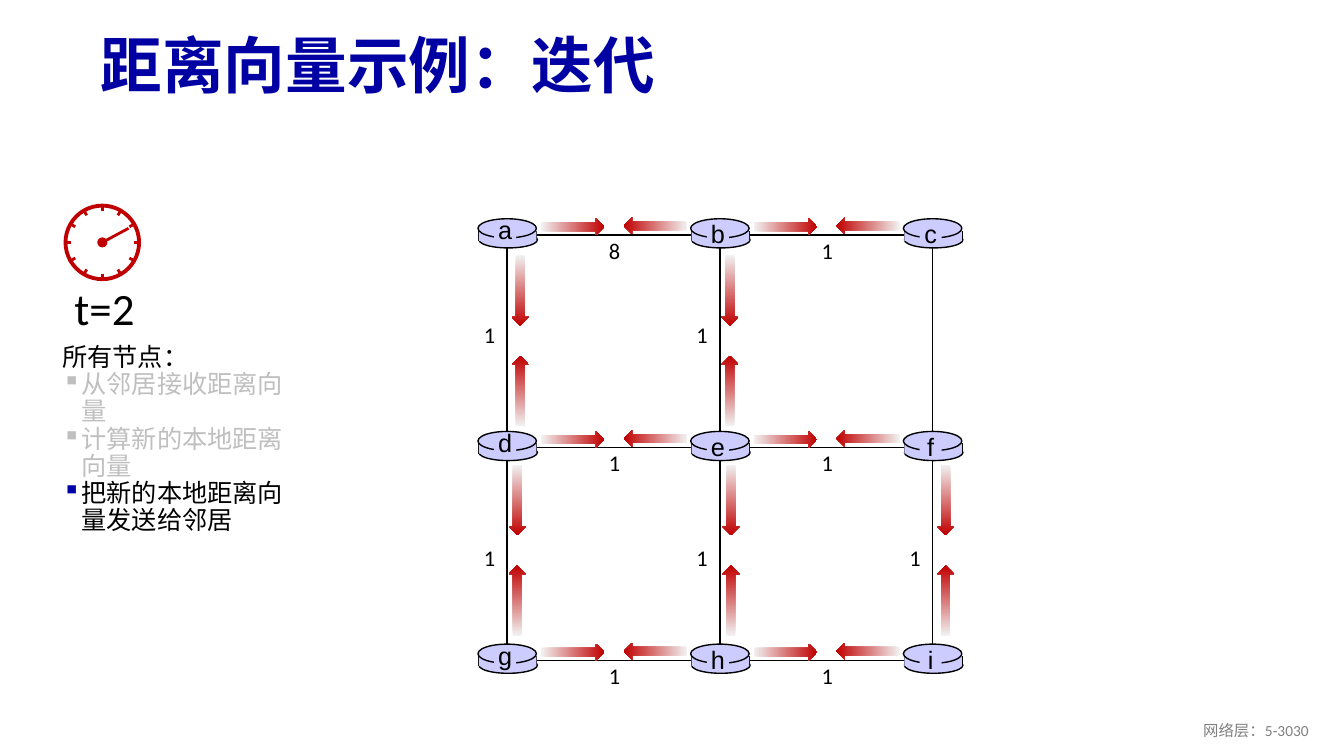
import math
from lxml import etree
from pptx import Presentation, util as u
from pptx.dml import color
from pptx.enum import shapes as kinds, text
from pptx.oxml import ns

BLACK, RED, LILAC, GREY = "000000", "C00000", "CCCCFF", "BFBFBF"
RECT, OVAL = kinds.MSO_SHAPE.RECTANGLE, kinds.MSO_SHAPE.OVAL
LEFT, CENTER, RIGHT = text.PP_ALIGN.LEFT, text.PP_ALIGN.CENTER, text.PP_ALIGN.RIGHT
TOP, MIDDLE = text.MSO_ANCHOR.TOP, text.MSO_ANCHOR.MIDDLE


def rgb(value):
    return color.RGBColor.from_string(value)


def inches(*lengths):
    return [u.Inches(length) for length in lengths]


def add_part(shapes, kind, box, fill=None, line=None, width=1):
    shape = shapes.add_shape(kind, *inches(*box))
    shape.shadow.inherit = False
    if fill:
        shape.fill.solid()
        shape.fill.fore_color.rgb = rgb(fill)
    else:
        shape.fill.background()
    if line:
        shape.line.color.rgb = rgb(line)
        shape.line.width = u.Pt(width)
    else:
        shape.line.fill.background()
    return shape


def add_line(shapes, start, end, line=BLACK, width=1):
    connector = shapes.add_connector(kinds.MSO_CONNECTOR.STRAIGHT, *inches(*start, *end))
    connector.line.color.rgb = rgb(line)
    connector.line.width = u.Pt(width)
    etree.SubElement(connector._element.spPr, ns.qn("a:effectLst"))
    return connector


def add_text(shapes, box, lines, size, colors=(BLACK,), font="Calibri", bold=False,
             align=LEFT, anchor=TOP, wrap=False, spacing=1.0, bullets=()):
    """Write one paragraph a line; bullets maps paragraph numbers to bullet colours."""
    frame = shapes.add_textbox(*inches(*box)).text_frame
    frame.word_wrap = wrap
    frame.vertical_anchor = anchor
    frame.text = "\n".join(lines)
    for number, (paragraph, value) in enumerate(zip(frame.paragraphs, colors)):
        paragraph.alignment = align
        paragraph.line_spacing = spacing
        if number in bullets:
            add_bullet(paragraph, bullets[number])
        for run in paragraph.runs:
            run.font.size = u.Pt(size)
            run.font.name = font
            run.font.bold = bold
            run.font.color.rgb = rgb(value)
            east_asian = etree.SubElement(run.font._element, ns.qn("a:ea"))
            east_asian.set("typeface", font)


def add_bullet(paragraph, value):
    properties = paragraph._p.get_or_add_pPr()
    indent = u.Inches(0.19)
    properties.set("marL", str(indent))
    properties.set("indent", str(-indent))
    bullet_color = etree.SubElement(properties, ns.qn("a:buClr"))
    etree.SubElement(bullet_color, ns.qn("a:srgbClr")).set("val", value)
    etree.SubElement(properties, ns.qn("a:buChar")).set("char", "▪")


def add_arrow(shapes, center, length, rotation):
    x, y = center
    height = 0.17
    arrow = add_part(shapes, kinds.MSO_SHAPE.RIGHT_ARROW,
                     (x - length / 2, y - height / 2, length, height))
    arrow.fill.gradient()
    arrow.fill.gradient_angle = 0
    for stop, value in zip(arrow.fill.gradient_stops, ("F2F2F2", RED)):
        stop.color.rgb = rgb(value)
    arrow.rotation = rotation


def add_router(slide, center, name):
    x, y = center
    shapes = slide.shapes.add_group_shape().shapes
    # Cylinder: base, sides, body, lid
    add_part(shapes, OVAL, (x - 0.28, y - 0.03, 0.58, 0.16), LILAC, BLACK)
    for side in (x - 0.28, x + 0.29):
        add_line(shapes, (side, y - 0.04), (side, y + 0.06))
    add_part(shapes, RECT, (x - 0.28, y - 0.04, 0.57, 0.1), LILAC)
    add_part(shapes, OVAL, (x - 0.29, y - 0.16, 0.58, 0.19), LILAC, BLACK)
    # Name on a plain patch
    add_part(shapes, RECT, (x - 0.13, y - 0.11, 0.22, 0.2), LILAC)
    rise = 0.25 if name in "adg" else 0.21
    add_text(shapes, (x - 0.19, y - rise, 0.34, 0.4), [name], 18,
             font="Arial", align=CENTER)


def add_network(slide, box):
    left, top, width, height = box
    step_x, step_y = width / 2, height / 2
    shapes = slide.shapes
    # Links: frame and the two middle lines
    frame = add_part(shapes, RECT, box, line=BLACK)
    for first, last in ((0, 2), (1, 3)):
        link = add_line(shapes, (left, top), (left + width, top + height))
        link.begin_connect(frame, first)
        link.end_connect(frame, last)
    # Horizontal costs and messages
    for row, costs in enumerate(("81", "11", "11")):
        for column, cost in enumerate(costs):
            x, y = left + column * step_x, top + row * step_y
            add_text(shapes, (x + 0.91, y - 0.03, 0.33, 0.37), [cost], 16)
            add_arrow(shapes, (x + 0.65, y - 0.08), 0.63, 0)
            add_arrow(shapes, (x + 1.47, y - 0.09), 0.63, 180)
    # Vertical costs and messages; the shift sets the arrows beside the link
    for row, shifts in enumerate(((0.13, 0.1), (0.1, 0.11, 0.13))):
        for column, shift in enumerate(shifts):
            x, y = left + column * step_x, top + row * step_y
            add_text(shapes, (x - 0.33, y + 0.81 + row * 0.1, 0.33, 0.37), ["1"], 16)
            for drop, rotation in ((0.55, 90), (1.55, 270)):
                add_arrow(shapes, (x + shift, y + drop - row * 0.03), 0.7, rotation)
    # Routers
    for number, name in enumerate("abcdefghi"):
        row, column = divmod(number, 3)
        add_router(slide, (left + column * step_x, top + row * step_y), name)


def add_clock(slide, box):
    left, top, size, _ = box
    x, y = left + size / 2, top + size / 2
    shapes = slide.shapes.add_group_shape().shapes
    add_text(shapes, (left - 0.01, top + 0.7, 0.81, 0.64), ["t=2"], 32)
    add_part(shapes, OVAL, box, line=RED, width=2.75)
    for hour in range(12):
        angle = math.radians(hour * 30)
        inner, outer = [(x + radius * math.sin(angle), y - radius * math.cos(angle))
                        for radius in (0.31, 0.37)]
        add_line(shapes, inner, outer, RED, 2)
    add_part(shapes, OVAL, (x - 0.05, y - 0.05, 0.1, 0.1), RED)
    add_line(shapes, (x + 0.26, y - 0.14), (x, y), RED, 2)


def add_steps(slide, box):
    lines = ["所有节点：", "从邻居接收距离向量", "计算新的本地距离向量", "把新的本地距离向量发送给邻居"]
    add_text(slide.shapes, box, lines, 18, (BLACK, GREY, GREY, BLACK), wrap=True,
             spacing=0.9, bullets={1: GREY, 2: GREY, 3: "0000A8"})


def main():
    presentation = Presentation()
    presentation.slide_width, presentation.slide_height = inches(13.33, 7.5)
    slide = presentation.slides.add_slide(presentation.slide_layouts[6])
    # Title and footer
    add_text(slide.shapes, (0.9, 0.19, 11.5, 0.98), ["距离向量示例：迭代"], 44, ("0000A3",),
             bold=True, anchor=MIDDLE, wrap=True, spacing=0.9)
    add_text(slide.shapes, (10.08, 7.05, 3, 0.4), ["网络层：5-3030"], 11, ("808080",),
             align=RIGHT, anchor=MIDDLE, wrap=True)
    # Network on the right, time and steps on the left
    add_network(slide, (5.03, 2.33, 4.22, 4.22))
    add_steps(slide, (0.52, 3.37, 2.4, 2.83))
    add_clock(slide, (0.65, 2.04, 0.73, 0.73))
    presentation.save("out.pptx")


if __name__ == "__main__":
    main()
